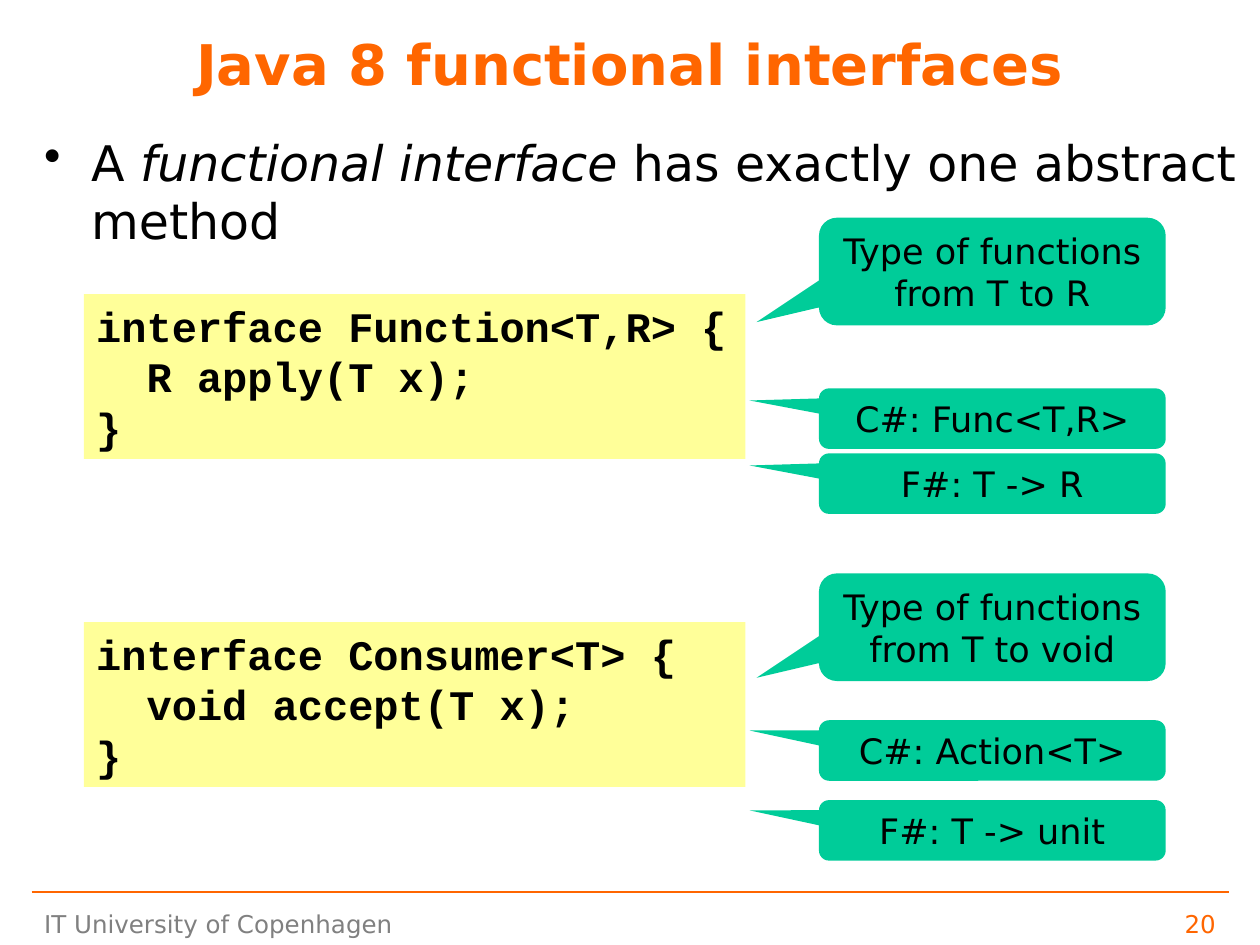
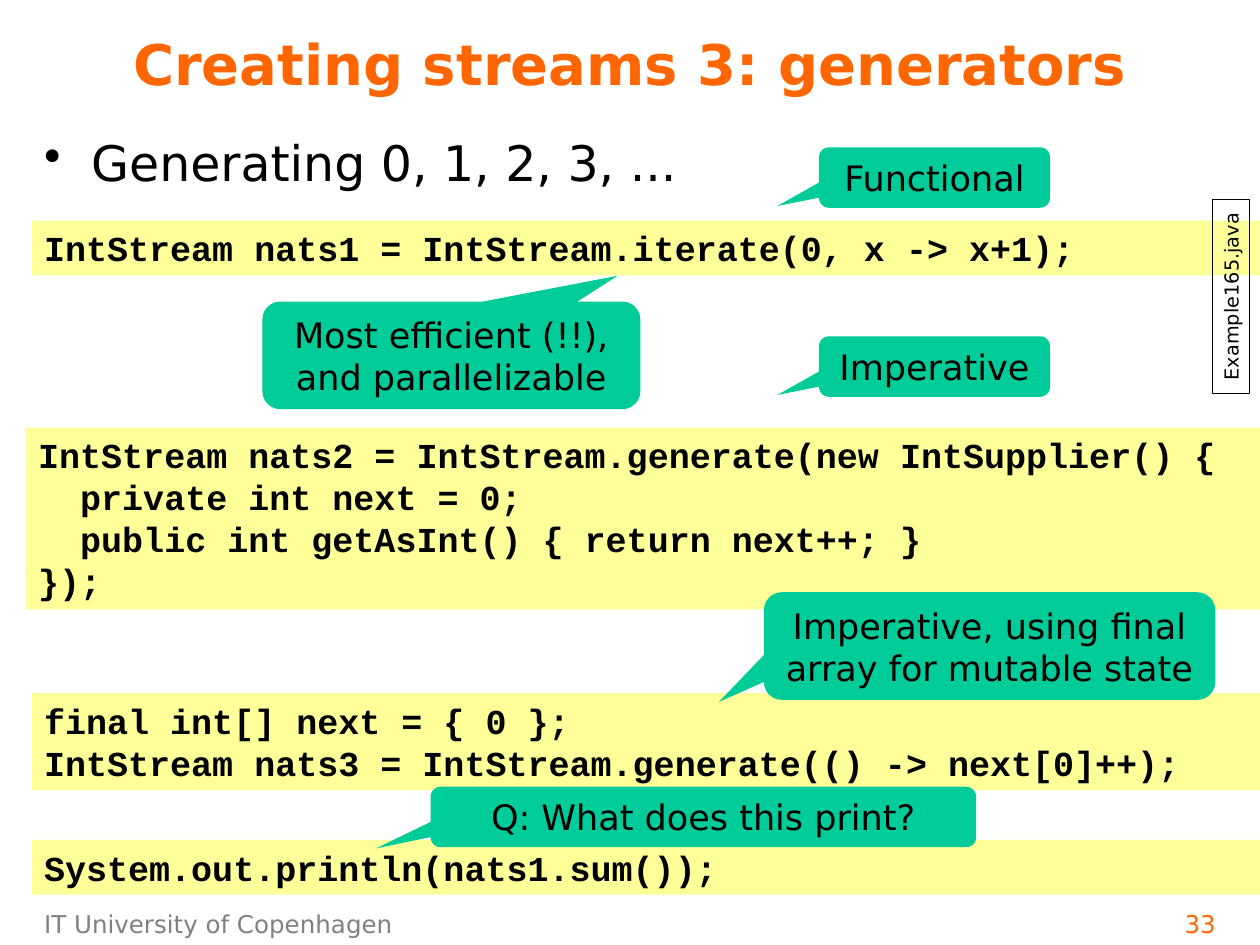
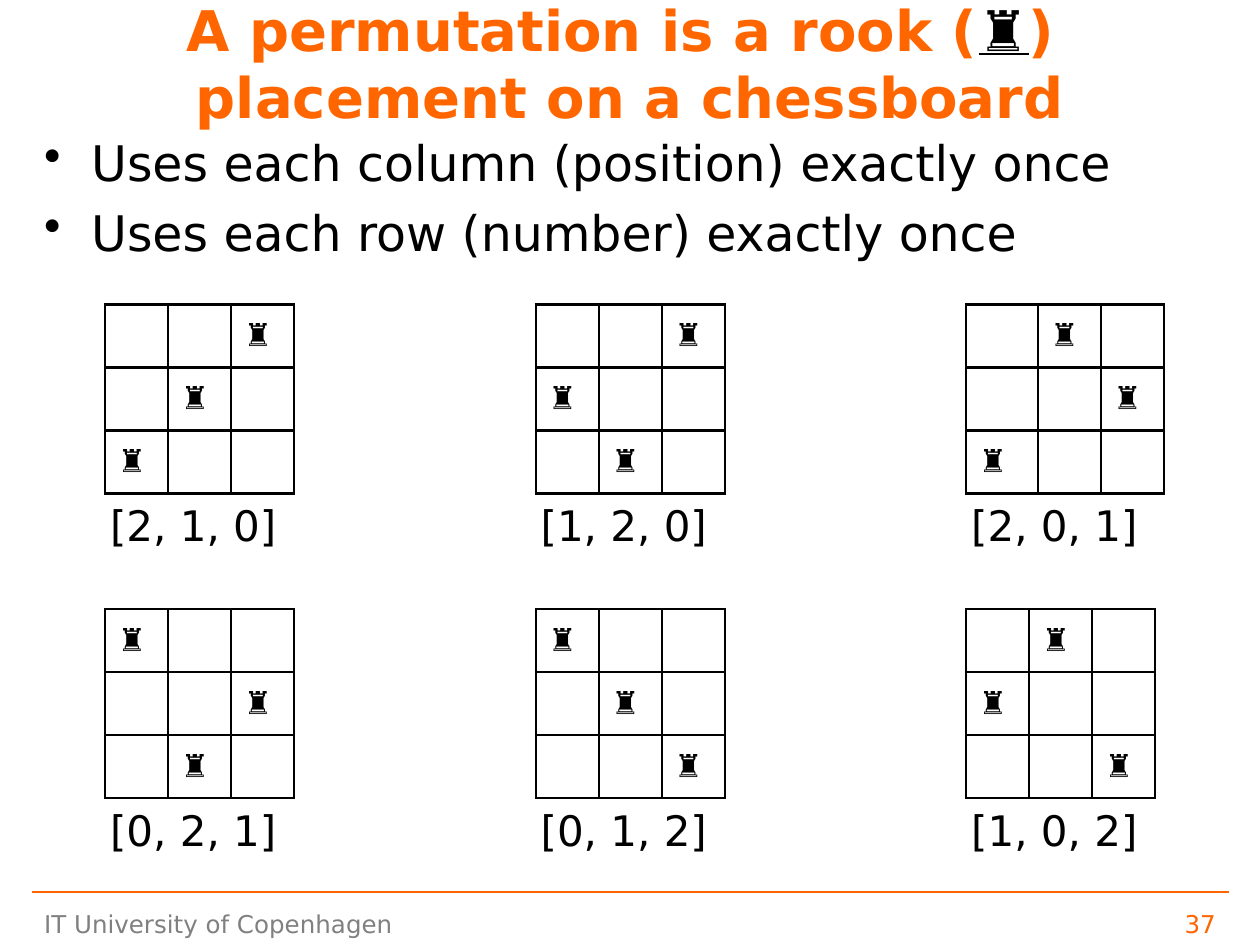
from dataclasses import dataclass

from lxml import etree
from pptx import Presentation
from pptx import util as u
from pptx.dml import color as c
from pptx.enum import shapes, text
from pptx.oxml import ns


@dataclass(frozen=True)
class Theme:
    accent: str = "FF6600"
    ink: str = "000000"
    muted: str = "808080"
    paper: str = "FFFFFF"
    code_fill: str = "FFFF99"
    callout_fill: str = "00CC99"
    sans: str = "DejaVu Sans"
    mono: str = "Courier New"
    title: int = 32
    body: int = 28
    caption: int = 24
    callout: int = 20
    rook: int = 18
    footer: int = 14
    file_name: int = 11
    margin: float = 0.64
    content_width: float = 24.13
    cell: float = 1.27


def rgb(value):
    return c.RGBColor.from_string(value)


def cm(*lengths):
    return [u.Cm(length) for length in lengths]


class Deck:
    def __init__(self, theme):
        self.theme = theme
        self.presentation = Presentation()
        self.presentation.slide_width = u.Cm(25.4)
        self.presentation.slide_height = u.Cm(19.05)
        self.slide = None

    def new_slide(self, number, *title_runs):
        theme = self.theme
        self.slide = self.presentation.slides.add_slide(self.presentation.slide_layouts[6])
        background = self.slide.background.fill
        background.solid()
        background.fore_color.rgb = rgb(theme.paper)
        self.text_box(theme.margin, 18.21, 7.62, 0.86, "IT University of Copenhagen",
                      size=theme.footer, color=theme.muted)
        self.rule(17.98)
        self.text_box(23.06, 18.21, 1.7, 0.84, str(number), size=theme.footer,
                      color=theme.accent, align=text.PP_ALIGN.RIGHT)
        self.title(title_runs)

    def run(self, paragraph, string, size, color=None, font=None, **emphasis):
        run = paragraph.add_run()
        run.text = string
        run.font.size = u.Pt(size)
        run.font.name = font or self.theme.sans
        run.font.color.rgb = rgb(color or self.theme.ink)
        for name, value in emphasis.items():
            setattr(run.font, name, value)

    def frame(self, shape, anchor=text.MSO_ANCHOR.TOP, wrap=True):
        frame = shape.text_frame
        frame.word_wrap = wrap
        frame.auto_size = text.MSO_AUTO_SIZE.NONE
        frame.vertical_anchor = anchor
        return frame

    def write_lines(self, frame, lines, align=text.PP_ALIGN.LEFT, **style):
        for index, line in enumerate(lines):
            paragraph = frame.add_paragraph() if index else frame.paragraphs[0]
            paragraph.alignment = align
            self.run(paragraph, line, **style)

    def text_box(self, left, top, width, height, string, align=text.PP_ALIGN.LEFT, **style):
        box = self.slide.shapes.add_textbox(*cm(left, top, width, height))
        self.write_lines(self.frame(box), [string], align, **style)

    def rule(self, top):
        theme = self.theme
        ends = cm(theme.margin, top, theme.margin + theme.content_width, top)
        line = self.slide.shapes.add_connector(shapes.MSO_CONNECTOR.STRAIGHT, *ends)
        line.line.color.rgb = rgb(theme.accent)
        line.line.width = u.Pt(0.75)
        etree.SubElement(line._element.spPr, ns.qn("a:effectLst"))

    def title(self, runs):
        theme = self.theme
        box = self.slide.shapes.add_textbox(*cm(theme.margin, 0, theme.content_width, 2.54))
        paragraph = self.frame(box, text.MSO_ANCHOR.MIDDLE).paragraphs[0]
        paragraph.alignment = text.PP_ALIGN.CENTER
        for string in runs:
            if string == "\n":
                paragraph.add_line_break()
            elif string == "♜":
                self.run(paragraph, string, theme.title, bold=False, underline=True)
            else:
                self.run(paragraph, string, theme.title, theme.accent, bold=True)

    def bullets(self, *items):
        box = self.slide.shapes.add_textbox(*cm(self.theme.margin, 2.54, 24.76, 15.44))
        frame = self.frame(box)
        for index, item in enumerate(items):
            paragraph = frame.add_paragraph() if index else frame.paragraphs[0]
            properties = paragraph._p.get_or_add_pPr()
            properties.set("marL", str(u.Cm(0.95)))
            properties.set("indent", str(u.Cm(-0.95)))
            etree.SubElement(properties, ns.qn("a:buChar")).set("char", "•")
            if index:
                paragraph.space_before = u.Pt(6.5)
            for string, italic in item:
                self.run(paragraph, string, self.theme.body, italic=italic)

    def block(self, kind, left, top, width, height, fill=None, outline=None):
        shape = self.slide.shapes.add_shape(kind, *cm(left, top, width, height))
        shape.shadow.inherit = False
        if fill:
            shape.fill.solid()
            shape.fill.fore_color.rgb = rgb(fill)
        else:
            shape.fill.background()
        if outline:
            shape.line.color.rgb = rgb(outline)
            shape.line.width = u.Pt(0.75)
        else:
            shape.line.fill.background()
        return shape

    def code(self, left, top, width, size, *lines):
        height = 0.25 + len(lines) * u.Pt(1.21 * size).cm
        shape = self.block(shapes.MSO_SHAPE.RECTANGLE, left, top, width, height,
                           self.theme.code_fill)
        self.write_lines(self.frame(shape), lines, size=size, font=self.theme.mono, bold=True)

    def callout(self, left, top, width, string, tip, tall=False):
        shape = self.block(shapes.MSO_SHAPE.ROUNDED_RECTANGULAR_CALLOUT, left, top, width,
                           2.17 if tall else 1.22, self.theme.callout_fill)
        shape.adjustments[0], shape.adjustments[1] = tip
        self.write_lines(self.frame(shape, text.MSO_ANCHOR.MIDDLE), [string],
                         text.PP_ALIGN.CENTER, size=self.theme.callout)

    def file_tag(self, left, top, name):
        shape = self.block(shapes.MSO_SHAPE.RECTANGLE, left, top, 3.91, 0.74,
                           outline=self.theme.ink)
        shape.rotation = 270
        self.write_lines(self.frame(shape, text.MSO_ANCHOR.MIDDLE, wrap=False), [name],
                         text.PP_ALIGN.CENTER, size=self.theme.file_name)

    def cell_borders(self, cell):
        properties = cell._tc.get_or_add_tcPr()
        for side in ("lnL", "lnR", "lnT", "lnB"):
            line = etree.SubElement(properties, ns.qn(f"a:{side}"), w=str(u.Pt(1.5)))
            fill = etree.SubElement(line, ns.qn("a:solidFill"))
            etree.SubElement(fill, ns.qn("a:srgbClr"), val=self.theme.ink)

    def board(self, left, top, permutation, first_column):
        side = len(permutation)
        size = self.theme.cell
        width = first_column + (side - 1) * size
        table = self.slide.shapes.add_table(
            side, side, *cm(left, top, width, side * size)).table
        table.first_row = table.horz_banding = False
        for index in range(side):
            table.columns[index].width = u.Cm(size if index else first_column)
            table.rows[index].height = u.Cm(size)
        for cell in table.iter_cells():
            self.cell_borders(cell)
            cell.fill.background()
            cell.vertical_anchor = text.MSO_ANCHOR.MIDDLE
        for column, row in enumerate(permutation):
            paragraph = table.cell(row, column).text_frame.paragraphs[0]
            self.run(paragraph, "♜", self.theme.rook)
        self.text_box(left - 0.15, top + side * size, 4.14, 1.3, str(permutation),
                      size=self.theme.caption)


def functional_interfaces(deck):
    deck.new_slide(20, "Java 8 functional interfaces")
    deck.bullets([("A ", False), ("functional interface", True),
                  (" has exactly one abstract method", False)])
    deck.code(1.69, 5.93, 13.34, 24, "interface Function<T,R> {", "  R apply(T x);", "}")
    deck.code(1.69, 12.54, 13.34, 24, "interface Consumer<T> {", "  void accept(T x);", "}")
    for top, string in ((4.39, "Type of functions from T to R"),
                        (11.56, "Type of functions from T to void")):
        deck.callout(16.51, top, 6.99, string, (-0.68, 0.47), tall=True)
    for top, string, tip_height in ((7.83, "C#: Func<T,R>", -0.3),
                                    (14.52, "C#: Action<T>", -0.33),
                                    (9.14, "F#: T -> R", -0.3),
                                    (16.13, "F#: T -> unit", -0.33)):
        deck.callout(16.51, top, 6.99, string, (-0.7, tip_height))


def generators(deck):
    deck.new_slide(33, "Creating streams 3: generators")
    deck.bullets([("Generating 0, 1, 2, 3, ...", False)])
    deck.code(0.64, 4.45, 24.76, 20, "IntStream nats1 = IntStream.iterate(0, x -> x+1);")
    deck.code(0.52, 8.62, 24.88, 20,
              "IntStream nats2 = IntStream.generate(new IntSupplier() {",
              "  private int next = 0;",
              "  public int getAsInt() { return next++; }",
              "});")
    deck.code(0.64, 13.97, 24.76, 20, "final int[] next = { 0 };",
              "IntStream nats3 = IntStream.generate(() -> next[0]++);")
    deck.code(0.64, 16.93, 24.76, 20, "System.out.println(nats1.sum());")
    deck.file_tag(22.86, 5.61, "Example165.java")
    deck.callout(16.51, 2.97, 4.66, "Functional", (-0.68, 0.47))
    deck.callout(16.51, 6.78, 4.66, "Imperative", (-0.68, 0.47))
    deck.callout(5.29, 6.08, 7.62, "Most efficient (!!), and parallelizable",
                 (0.44, -0.74), tall=True)
    deck.callout(15.4, 11.94, 9.1, "Imperative, using final array for mutable state",
                 (-0.6, 0.52), tall=True)
    deck.callout(8.68, 15.86, 11, "Q: What does this print?", (-0.6, 0.52))


def rook_placements(deck):
    deck.new_slide(37, "A permutation is a rook (", "♜", ") ", "\n",
                   "placement on a chessboard")
    deck.bullets([("Uses each column (position) exactly once", False)],
                 [("Uses each row (number) exactly once", False)])
    permutations = [[2, 1, 0], [1, 2, 0], [2, 0, 1],
                    [0, 2, 1], [0, 1, 2], [1, 0, 2]]
    for index, permutation in enumerate(permutations):
        row, column = divmod(index, 3)
        first_column = 1.44 if permutation == [2, 0, 1] else deck.theme.cell
        deck.board(2.12 + 8.68 * column, 6.14 + 6.14 * row, permutation, first_column)


def main():
    deck = Deck(Theme())
    functional_interfaces(deck)
    generators(deck)
    rook_placements(deck)
    deck.presentation.save("out.pptx")


if __name__ == "__main__":
    main()
